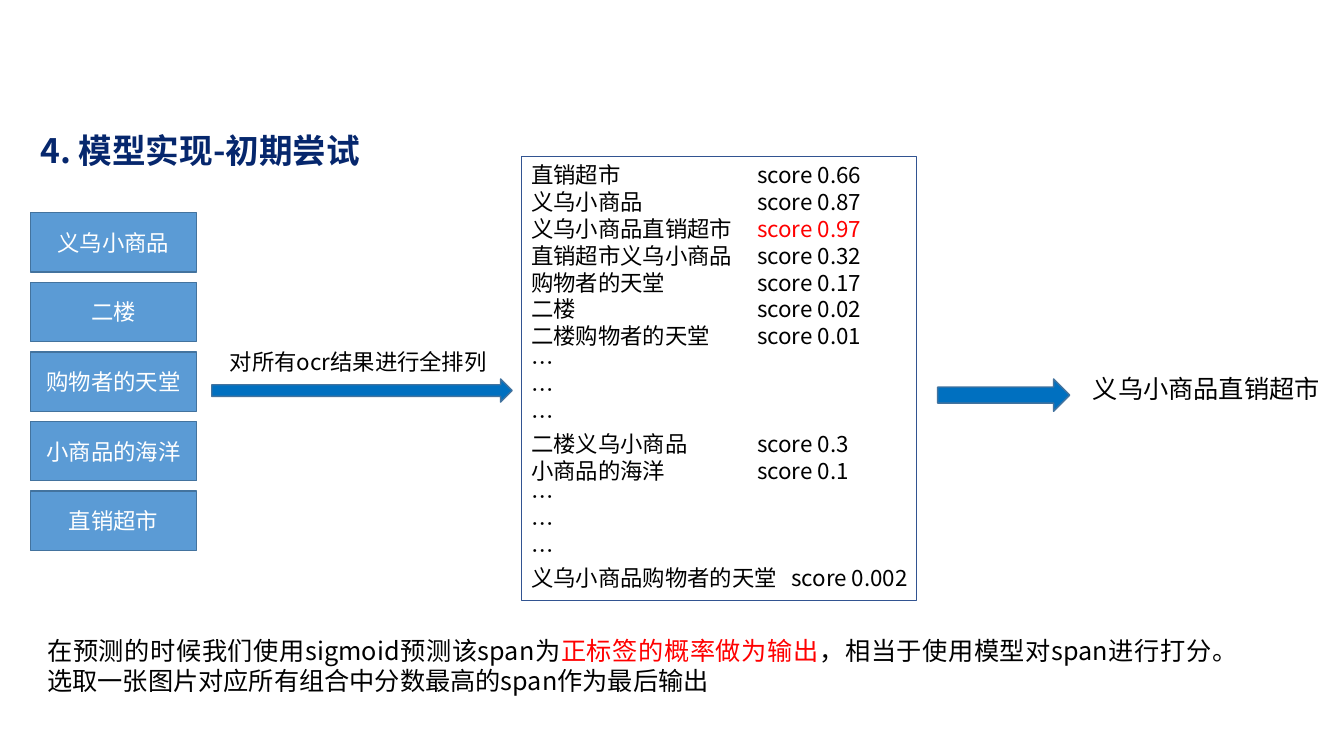
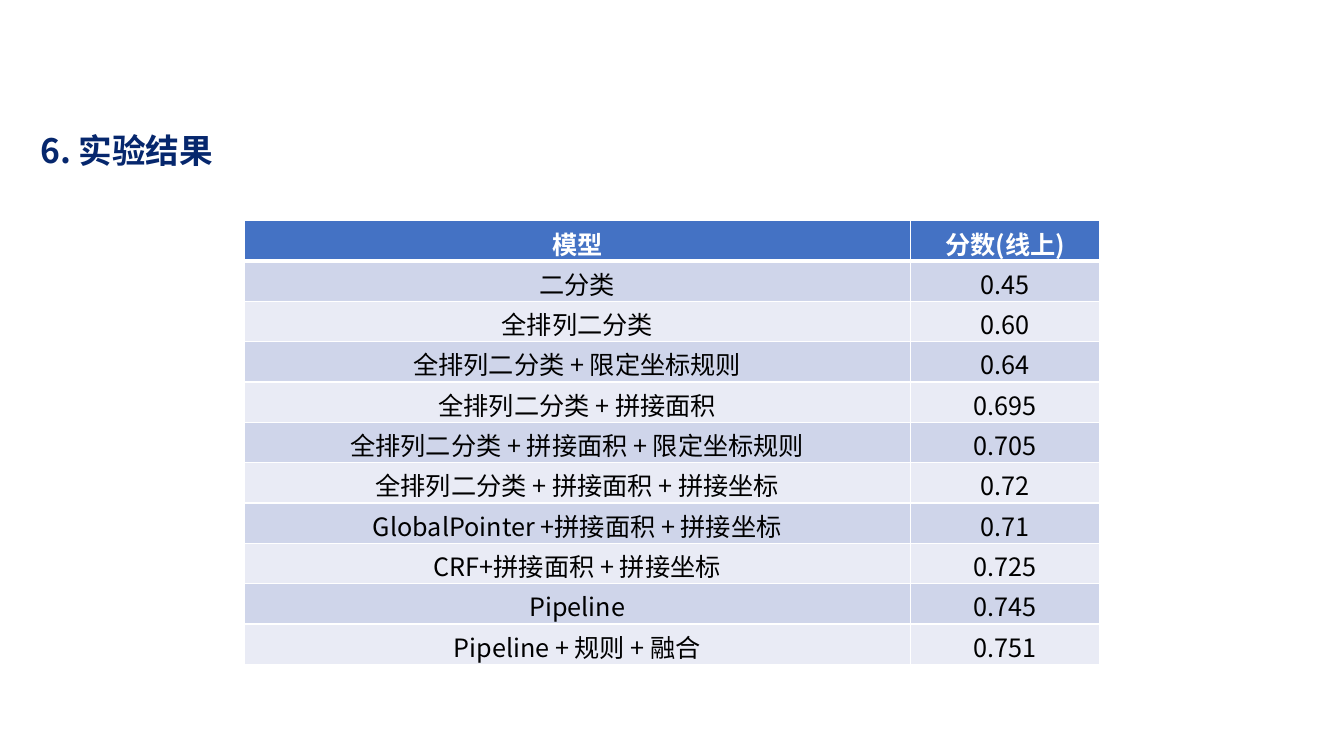
from lxml import etree
from pptx import Presentation
from pptx.dml.color import RGBColor
from pptx.enum.shapes import MSO_SHAPE
from pptx.enum.text import MSO_ANCHOR, MSO_AUTO_SIZE, PP_ALIGN
from pptx.oxml.ns import qn
from pptx.util import Inches, Pt

RECTANGLE, RIGHT_ARROW = MSO_SHAPE.RECTANGLE, MSO_SHAPE.RIGHT_ARROW
LEFT, CENTER, JUSTIFY = PP_ALIGN.LEFT, PP_ALIGN.CENTER, PP_ALIGN.JUSTIFY
TOP, MIDDLE = MSO_ANCHOR.TOP, MSO_ANCHOR.MIDDLE
FIT_SHAPE = MSO_AUTO_SIZE.SHAPE_TO_FIT_TEXT
TITLE_ONLY = 5

SANS, MONO = "Noto Sans CJK SC", "Noto Sans Mono"
BLACK, WHITE, RED, NAVY = "000000", "FFFFFF", "FF0000", "06276D"
BOX_BLUE, BOX_LINE, ARROW_BLUE, FRAME_LINE = "5B9BD5", "43739E", "0070C0", "325491"
HEADER_BLUE, BANDS = "4472C4", ("CFD5EA", "E9EBF5")

# Content
ATTEMPT_TITLE = "4. 模型实现-初期尝试"
OCR_RESULTS = [
    ("义乌小商品", SANS),
    ("二楼", SANS),
    ("购物者的天堂", SANS),
    ("小商品的海洋", MONO),
    ("直销超市", MONO),
]
PERMUTE_LABEL = "对所有ocr结果进行全排列"
MORE = ("…", "")
CANDIDATES = [
    ("直销超市", "0.66"),
    ("义乌小商品", "0.87"),
    ("义乌小商品直销超市", "0.97"),
    ("直销超市义乌小商品", "0.32"),
    ("购物者的天堂", "0.17"),
    ("二楼", "0.02"),
    ("二楼购物者的天堂", "0.01"),
    MORE, MORE, MORE,
    ("二楼义乌小商品", "0.3"),
    ("小商品的海洋", "0.1"),
    MORE, MORE, MORE,
    ("义乌小商品购物者的天堂", "0.002"),
]
BEST = "义乌小商品直销超市"
EXPLANATION = [
    ("在预测的时候我们使用sigmoid预测该span为", BLACK),
    ("正标签的概率做为输出", RED),
    ("，相当于使用模型对span进行打分。"
     "选取一张图片对应所有组合中分数最高的span作为最后输出", BLACK),
]
RESULTS_TITLE = "6. 实验结果"
RESULTS = [
    ("模型", "分数(线上)"),
    ("二分类", "0.45"),
    ("全排列二分类", "0.60"),
    ("全排列二分类 + 限定坐标规则", "0.64"),
    ("全排列二分类 + 拼接面积", "0.695"),
    ("全排列二分类 + 拼接面积 + 限定坐标规则", "0.705"),
    ("全排列二分类 + 拼接面积 + 拼接坐标", "0.72"),
    ("GlobalPointer +拼接面积 + 拼接坐标", "0.71"),
    ("CRF+拼接面积 + 拼接坐标", "0.725"),
    ("Pipeline", "0.745"),
    ("Pipeline + 规则 + 融合", "0.751"),
]

# Layout in inches
STACK_LEFT, STACK_TOP, STACK_PITCH = 0.3, 2.11, 0.69
STACK_WIDTH, STACK_HEIGHT = 1.65, 0.59
SCORE_STOPS = (2.24, 2.58)
COLUMN_WIDTHS, ROW_HEIGHT = (6.61, 1.88), 0.4


def rgb(value):
    """Turn a hex string into a colour."""
    return RGBColor.from_string(value)


def lengths(*values):
    """Turn numbers of inches into lengths."""
    return [Inches(value) for value in values]


def add_span(para, text, size, color=BLACK, font=SANS, bold=False):
    """Add one formatted run to a paragraph."""
    span = para.add_run()
    span.text = text
    span.font.size, span.font.bold, span.font.name = Pt(size), bold, font
    span.font.color.rgb = rgb(color)
    properties = span._r.get_or_add_rPr()
    properties.set("lang", "zh-CN")
    etree.SubElement(properties, qn("a:ea")).set("typeface", font)


def add_title_page(deck, text, width):
    """Add a title-only page and format its title."""
    page = deck.slides.add_slide(deck.slide_layouts[TITLE_ONLY])
    title = page.shapes.title
    title.left, title.top, title.width, title.height = lengths(0.3, 1.24, width, 0.5)
    frame = title.text_frame
    frame.word_wrap, frame.auto_size, frame.vertical_anchor = True, FIT_SHAPE, TOP
    para = frame.paragraphs[0]
    para.alignment = LEFT
    add_span(para, text, 24, NAVY, bold=True)
    return page


def add_figure(page, kind, place, fill, line):
    """Add a filled, outlined shape without a shadow."""
    figure = page.shapes.add_shape(kind, *lengths(*place))
    figure.shadow.inherit = False
    figure.fill.solid()
    figure.fill.fore_color.rgb = rgb(fill)
    figure.line.color.rgb = rgb(line)
    figure.line.width = Pt(1)
    return figure


def add_text(page, place):
    """Add a wrapping text box and return its frame."""
    frame = page.shapes.add_textbox(*lengths(*place)).text_frame
    frame.word_wrap, frame.auto_size = True, FIT_SHAPE
    return frame


def set_tab_stops(para, stops):
    """Give a paragraph left tab stops."""
    tabs = etree.SubElement(para._p.get_or_add_pPr(), qn("a:tabLst"))
    for stop in stops:
        etree.SubElement(tabs, qn("a:tab"), pos=str(Inches(stop)), algn="l")


def add_ocr_stack(page):
    """Stack the recognised texts at the left."""
    for index, (text, font) in enumerate(OCR_RESULTS):
        top = STACK_TOP + index * STACK_PITCH
        box = add_figure(page, RECTANGLE, (STACK_LEFT, top, STACK_WIDTH, STACK_HEIGHT),
                         BOX_BLUE, BOX_LINE)
        box.text_frame.vertical_anchor = MIDDLE
        para = box.text_frame.paragraphs[0]
        para.alignment = CENTER
        add_span(para, text, 16, WHITE, font)


def add_candidates(page):
    """List the candidates with scores, the best score in red."""
    add_figure(page, RECTANGLE, (5.17, 1.55, 3.92, 4.41), WHITE, FRAME_LINE)
    frame = add_text(page, (5.17, 1.55, 5.25, 4.41))
    for index, (name, score) in enumerate(CANDIDATES):
        para = frame.add_paragraph() if index else frame.paragraphs[0]
        add_span(para, name, 16)
        if score:
            set_tab_stops(para, SCORE_STOPS)
            add_span(para, f"\tscore {score}", 16, RED if name == BEST else BLACK)


def add_explanation(page):
    """Add the justified note at the foot."""
    para = add_text(page, (0.12, 6.25, 12.25, 0.71)).paragraphs[0]
    para.alignment = JUSTIFY
    para._p.get_or_add_pPr().set("marL", str(Inches(0.25)))
    for text, color in EXPLANATION:
        add_span(para, text, 18, color)


def set_borders(cell, bottom):
    """Draw white cell borders with a given bottom width."""
    properties = cell._tc.get_or_add_tcPr()
    for index, (side, width) in enumerate(
            (("lnL", 1), ("lnR", 1), ("lnT", 1), ("lnB", bottom))):
        line = etree.Element(qn(f"a:{side}"), w=str(Pt(width)))
        fill = etree.SubElement(line, qn("a:solidFill"))
        etree.SubElement(fill, qn("a:srgbClr"), val=WHITE)
        properties.insert(index, line)


def add_results(page):
    """Add the banded score table."""
    table = page.shapes.add_table(
        len(RESULTS), len(COLUMN_WIDTHS),
        *lengths(2.42, 2.19, sum(COLUMN_WIDTHS), len(RESULTS) * ROW_HEIGHT)).table
    for column, width in zip(table.columns, COLUMN_WIDTHS):
        column.width = Inches(width)
    for row, values in enumerate(RESULTS):
        header = row == 0
        table.rows[row].height = Inches(ROW_HEIGHT)
        for column, text in enumerate(values):
            cell = table.cell(row, column)
            cell.margin_top, cell.margin_bottom = lengths(0.04, 0)
            cell.fill.solid()
            cell.fill.fore_color.rgb = rgb(HEADER_BLUE if header else BANDS[(row - 1) % 2])
            set_borders(cell, 3 if header else 1)
            para = cell.text_frame.paragraphs[0]
            para.alignment = CENTER
            add_span(para, text, 18, WHITE if header else BLACK, bold=header)


def main():
    """Build and save both pages."""
    deck = Presentation()
    deck.slide_width, deck.slide_height = lengths(13.33, 7.5)

    attempt = add_title_page(deck, ATTEMPT_TITLE, 6.37)
    add_ocr_stack(attempt)
    for place in ((2.1, 3.76, 2.98, 0.23), (9.3, 3.76, 1.31, 0.32)):
        add_figure(attempt, RIGHT_ARROW, place, ARROW_BLUE, BOX_LINE)
    add_candidates(attempt)
    for text, size, place in ((PERMUTE_LABEL, 16, (2.18, 3.4, 3.69, 0.37)),
                              (BEST, 18, (10.74, 3.65, 2.79, 0.4))):
        add_span(add_text(attempt, place).paragraphs[0], text, size)
    add_explanation(attempt)

    add_results(add_title_page(deck, RESULTS_TITLE, 8.75))
    deck.save("out.pptx")


main()
